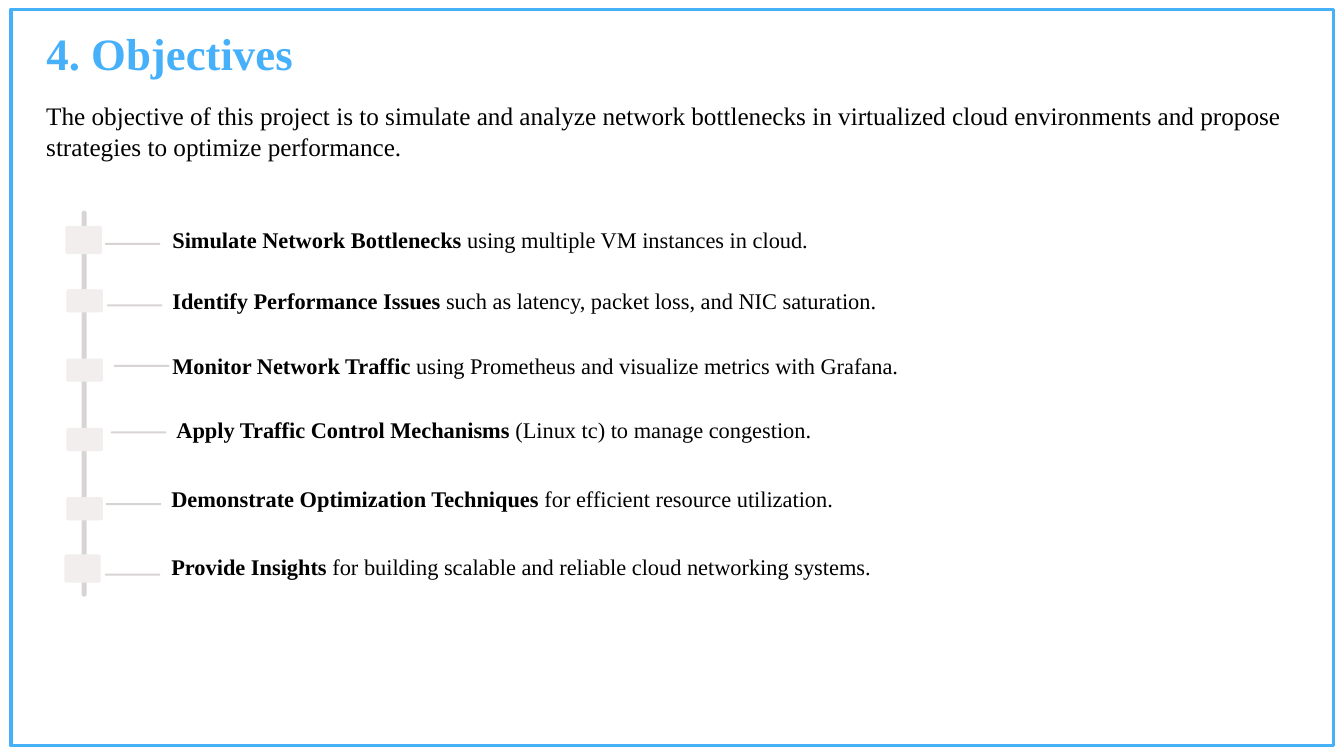
import dataclasses

import pptx
import pptx.dml.color
import pptx.enum.shapes
import pptx.enum.text
import pptx.util

FONT = "Times New Roman"
BLUE = "46B0FA"
FRAME_BLUE = "46B0F9"
BLACK = "000000"
LINE_GREY = "D8D4D4"
MARKER_GREY = "F2EEEE"

SLIDE_WIDTH = pptx.util.Inches(13.33)
SLIDE_HEIGHT = pptx.util.Inches(7.5)
COLUMN = SLIDE_WIDTH / 40
ROW = SLIDE_HEIGHT / 30

SHAPES = pptx.enum.shapes.MSO_SHAPE


@dataclasses.dataclass(frozen=True)
class Area:
    """A rectangle in grid columns and rows."""
    column: float
    row: float
    columns: float
    rows: float

    def place(self) -> tuple[int, int, int, int]:
        return (round(self.column * COLUMN), round(self.row * ROW),
                round(self.columns * COLUMN), round(self.rows * ROW))


@dataclasses.dataclass(frozen=True)
class Objective:
    lead: str
    rest: str
    marker: Area
    link_column: float
    link_row: float
    text_column: float
    text_row: float


OBJECTIVES = [
    Objective("Simulate Network Bottlenecks", " using multiple VM instances in cloud.",
              Area(1.95, 8.96, 1.08, 1.12), 3.12, 9.64, 5.13, 9.08),
    Objective("Identify Performance Issues", " such as latency, packet loss, and NIC saturation.",
              Area(1.98, 11.48, 1.08, 0.92), 3.18, 12.08, 5.13, 11.48),
    Objective("Monitor Network Traffic", " using Prometheus and visualize metrics with Grafana.",
              Area(1.98, 14.23, 1.08, 0.92), 3.39, 14.48, 5.13, 14.08),
    Objective("Apply Traffic Control Mechanisms", " (Linux tc) to manage congestion.",
              Area(1.98, 16.98, 1.08, 0.92), 3.3, 17.12, 5.25, 16.6),
    Objective("Demonstrate Optimization Techniques", " for efficient resource utilization.",
              Area(1.98, 19.73, 1.08, 0.92), 3.15, 19.96, 5.1, 19.36),
    Objective("Provide Insights", " for building scalable and reliable cloud networking systems.",
              Area(1.92, 22, 1.08, 1.12), 3.12, 22.76, 5.1, 22.04),
]


def color(value: str) -> pptx.dml.color.RGBColor:
    return pptx.dml.color.RGBColor.from_string(value)


def add_frame(slide) -> None:
    frame = slide.shapes.add_shape(SHAPES.RECTANGLE, *Area(0.33, 0.36, 39.36, 29.24).place())
    frame.shadow.inherit = False
    frame.fill.background()
    frame.line.color.rgb = color(FRAME_BLUE)
    frame.line.width = pptx.util.Pt(2.25)


def add_bar(slide, area: Area, fill: str, rounding: float) -> None:
    """Add a filled rounded rectangle without an outline."""
    bar = slide.shapes.add_shape(SHAPES.ROUNDED_RECTANGLE, *area.place())
    bar.adjustments[0] = rounding
    bar.shadow.inherit = False
    bar.fill.solid()
    bar.fill.fore_color.rgb = color(fill)
    bar.line.fill.background()


def add_span(para, text: str, size: float, ink: str = BLACK, bold: bool = False) -> None:
    span = para.add_run()
    span.text = text
    span.font.name = FONT
    span.font.size = pptx.util.Pt(size)
    span.font.bold = bold
    span.font.color.rgb = color(ink)


def add_text_box(slide, area: Area):
    box = slide.shapes.add_textbox(*area.place())
    box.text_frame.word_wrap = True
    return box.text_frame


def set_title(slide) -> None:
    title = slide.shapes.title
    title.left, title.top, title.width, title.height = Area(1.08, 0.8, 24.72, 2.56).place()
    title.text_frame.vertical_anchor = pptx.enum.text.MSO_ANCHOR.TOP
    title.text_frame.word_wrap = True
    para = title.text_frame.paragraphs[0]
    para.alignment = pptx.enum.text.PP_ALIGN.LEFT
    para.line_spacing = 1.0
    add_span(para, "4. Objectives", 32, BLUE, bold=True)


def add_objective(slide, objective: Objective) -> None:
    add_bar(slide, Area(objective.link_column, objective.link_row, 1.65, 0.08), LINE_GREY, 0.5)
    add_bar(slide, objective.marker, MARKER_GREY, 0.07)
    frame = add_text_box(slide, Area(objective.text_column, objective.text_row, 24, 1))
    frame.margin_left = frame.margin_right = frame.margin_top = frame.margin_bottom = 0
    para = frame.paragraphs[0]
    para.line_spacing = pptx.util.Pt(17.5)
    add_span(para, objective.lead, 16, bold=True)
    add_span(para, objective.rest, 16)


def main() -> None:
    deck = pptx.Presentation()
    deck.slide_width = SLIDE_WIDTH
    deck.slide_height = SLIDE_HEIGHT
    page = deck.slides.add_slide(deck.slide_layouts.get_by_name("Title Only"))
    add_frame(page)
    set_title(page)
    intro = add_text_box(page, Area(1.08, 3.8, 38.25, 2.84))
    add_span(intro.paragraphs[0],
             "The objective of this project is to simulate and analyze network bottlenecks in "
             "virtualized cloud environments and propose strategies to optimize performance.", 18)
    add_bar(page, Area(2.43, 8.36, 0.15, 15.32), LINE_GREY, 0.5)
    for objective in OBJECTIVES:
        add_objective(page, objective)
    deck.save("out.pptx")


if __name__ == "__main__":
    main()
